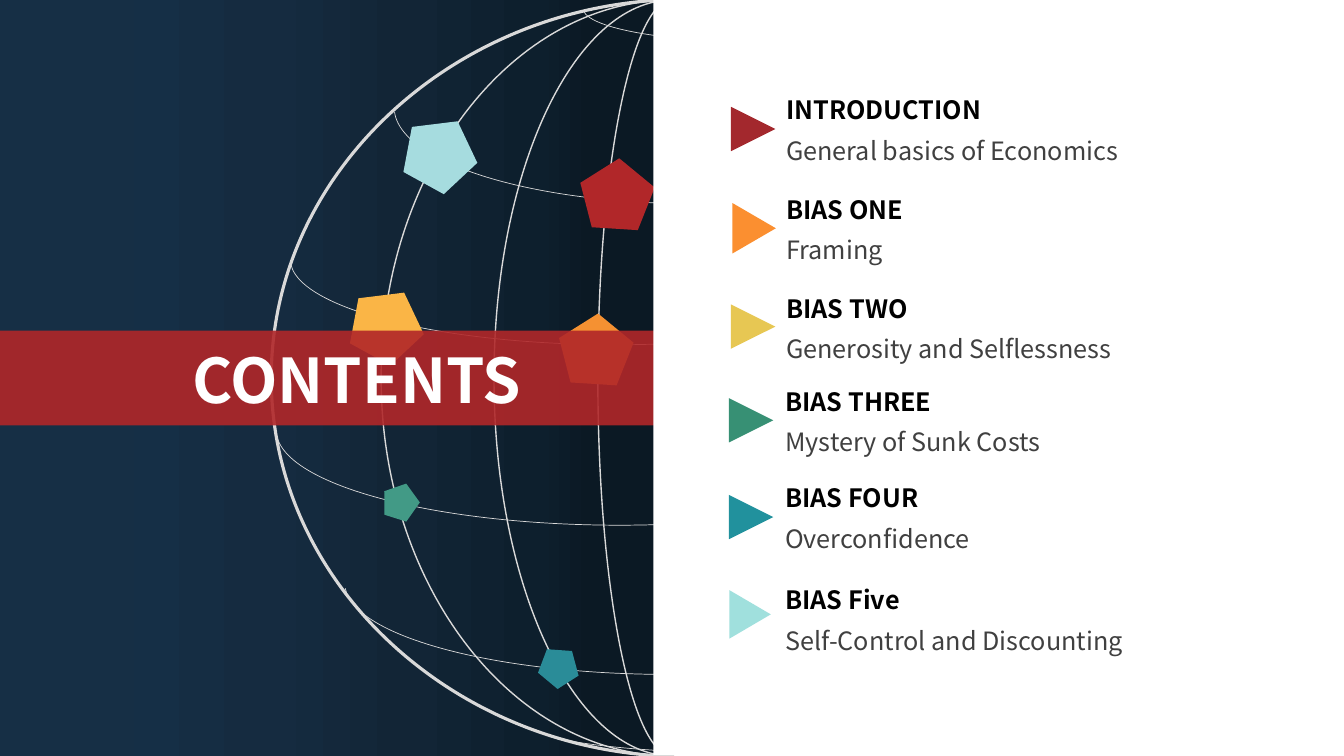
from lxml import etree
from pptx import Presentation
from pptx.dml.color import RGBColor
from pptx.enum import shapes, text
from pptx.oxml import ns
from pptx.util import Inches, Pt

FONT = "Noto Sans CJK SC"
WHITE = RGBColor(0xFF, 0xFF, 0xFF)
BLACK = RGBColor(0x00, 0x00, 0x00)
GRAY = RGBColor(0x40, 0x40, 0x40)
GRID = RGBColor(0xD9, 0xD9, 0xD9)
RED = RGBColor(0xB1, 0x27, 0x29)
CRIMSON = RGBColor(0xA3, 0x28, 0x2D)
ORANGE = RGBColor(0xF5, 0x91, 0x32)
TANGERINE = RGBColor(0xFB, 0x8F, 0x30)
AMBER = RGBColor(0xFA, 0xB5, 0x46)
YELLOW = RGBColor(0xE7, 0xC7, 0x53)
JADE = RGBColor(0x42, 0x9A, 0x86)
GREEN = RGBColor(0x37, 0x90, 0x74)
OCEAN = RGBColor(0x2A, 0x8C, 0x98)
TEAL = RGBColor(0x21, 0x91, 0x9D)
ICE = RGBColor(0xA6, 0xDC, 0xDF)
AQUA = RGBColor(0xA0, 0xE0, 0xDD)
NIGHT = [
    (0, RGBColor(0x16, 0x2F, 0x45)),
    (20, RGBColor(0x15, 0x2F, 0x46)),
    (40, RGBColor(0x15, 0x2B, 0x40)),
    (60, RGBColor(0x12, 0x25, 0x36)),
    (80, RGBColor(0x0D, 0x1F, 0x2D)),
    (88, RGBColor(0x0B, 0x19, 0x24)),
]

HEADING = {"size": Pt(18), "bold": True, "name": FONT}
DETAIL = {"size": Pt(18), "bold": False, "name": FONT}
TITLE = {"size": Pt(44), "bold": True, "name": FONT}

ROUNDNESS = 0.55
MERIDIANS = [(3.98, 0.11, 2.25), (2.89, 0, 1), (1.77, 0, 1), (0.74, 0, 1)]
PARALLELS = [
    (5.32, 6.95, 4.77, 0.53, 215.18),
    (3.42, 4.89, 6.42, 1.8, 215.51),
    (2.74, 3.33, 6.81, 1.88, 215.51),
    (2.88, 1.73, 6.47, 1.69, 215.51),
    (3.91, 0.12, 5.93, 1.9, 215.51),
    (5.78, -0.25, 3.31, 0.66, 215.51),
]
PENTAGONS = [
    (4, 1.16, 0.74, 0.7, 28.8, ICE),
    (3.47, 2.86, 0.74, 0.7, 28.8, AMBER),
    (3.79, 4.79, 0.37, 0.36, 17.5, JADE),
    (5.33, 6.41, 0.4, 0.39, 327.4, OCEAN),
    (5.75, 1.57, 0.74, 0.7, 3.6, RED),
    (5.54, 3.11, 0.74, 0.7, 3.6, ORANGE),
]
ENTRIES = [
    ("INTRODUCTION", "General basics of Economics", (7.7, 0.89), (7.25, 1.06, 0.44, 0.44), CRIMSON),
    ("BIAS ONE", "Framing", (7.7, 1.88), (7.23, 2.05, 0.5, 0.43), TANGERINE),
    ("BIAS TWO", "Generosity and Selflessness", (7.7, 2.86), (7.25, 3.02, 0.44, 0.44), YELLOW),
    ("BIAS THREE", "Mystery of Sunk Costs", (7.69, 3.78), (7.23, 3.95, 0.44, 0.44), GREEN),
    ("BIAS FOUR", "Overconfidence", (7.69, 4.74), (7.23, 4.91, 0.44, 0.44), TEAL),
    ("BIAS Five", "Self-Control and Discounting", (7.69, 5.75), (7.2, 5.89, 0.48, 0.41), AQUA),
]


def add_shape(slide, kind, box, color=None, rotation=0):
    sp = slide.shapes.add_shape(kind, *map(Inches, box))
    sp.shadow.inherit = False
    sp.line.fill.background()
    sp.rotation = rotation
    if color is not None:
        sp.fill.solid()
        sp.fill.fore_color.rgb = color
    return sp


def outline(sp, width):
    sp.shadow.inherit = False
    sp.fill.background()
    sp.line.color.rgb = GRID
    sp.line.width = Pt(width)


def write(tf, words, color, style):
    tf.word_wrap = True
    p = tf.paragraphs[0]
    r = p.add_run()
    r.text = words
    r.font.color.rgb = color
    for key, value in style.items():
        setattr(r.font, key, value)
    return p


def add_backdrop(slide, box):
    sp = add_shape(slide, shapes.MSO_SHAPE.RECTANGLE, box)
    sp.fill.gradient()
    sp.fill.gradient_angle = 0
    stops = sp._element.spPr.find(ns.qn("a:gradFill")).find(ns.qn("a:gsLst"))
    for stop in list(stops):
        stops.remove(stop)
    for position, color in NIGHT:
        stop = etree.SubElement(stops, ns.qn("a:gs"), pos=str(position * 1000))
        etree.SubElement(stop, ns.qn("a:srgbClr"), val=str(color))


def add_meridian(slide, box, shoulder, weight):
    left, top, width, height = box
    right, bottom, middle = left + width, top + height, top + height / 2
    edge = right - shoulder
    bend = edge - ROUNDNESS * (width - shoulder)
    rise = ROUNDNESS * (height / 2 - shoulder)
    curve = [
        (bend, bottom - shoulder), (left, middle + rise), (left, middle),
        (left, middle - rise), (bend, top + shoulder), (edge, top),
    ]
    corners = [(right, bottom), (edge, bottom)] if shoulder else [(right, bottom)]
    points = [(Inches(x), Inches(y)) for x, y in corners + curve]
    builder = slide.shapes.build_freeform(Inches(right), Inches(top))
    builder.add_line_segments(points, close=True)
    sp = builder.convert_to_shape()
    segments = list(sp._element.iter(ns.qn("a:lnTo")))[len(corners):len(points)]
    for first in (0, 3):
        trio = segments[first:first + 3]
        bezier = etree.Element(ns.qn("a:cubicBezTo"))
        trio[0].addprevious(bezier)
        for segment in trio:
            bezier.append(segment[0])
            segment.getparent().remove(segment)
    outline(sp, weight)


def add_globe(slide, box):
    left, top, width, height = box
    for reach, shoulder, weight in MERIDIANS:
        add_meridian(slide, (left + width - reach, top, reach, height), shoulder, weight)
    for x, y, w, h, end in PARALLELS:
        sp = add_shape(slide, shapes.MSO_SHAPE.ARC, (left + x, top + y, w, h), rotation=180)
        sp.adjustments[0], sp.adjustments[1] = 108.6, end
        outline(sp, 0.5)
    for x, y, w, h, rotation, color in PENTAGONS:
        add_shape(slide, shapes.MSO_SHAPE.REGULAR_PENTAGON, (left + x, top + y, w, h), color, rotation)


def add_banner(slide, box):
    band = add_shape(slide, shapes.MSO_SHAPE.RECTANGLE, box, RED)
    color = band._element.spPr.find(ns.qn("a:solidFill"))[0]
    etree.SubElement(color, ns.qn("a:alpha"), val="90000")


def add_title(slide, box):
    sp = slide.shapes.title
    sp.left, sp.top, sp.width, sp.height = map(Inches, box)
    slide.shapes._spTree.append(sp._element)
    tf = sp.text_frame
    tf.auto_size = text.MSO_AUTO_SIZE.NONE
    tf.vertical_anchor = text.MSO_ANCHOR.TOP
    write(tf, "CONTENTS", WHITE, TITLE).alignment = text.PP_ALIGN.CENTER


def add_entries(slide, box):
    add_shape(slide, shapes.MSO_SHAPE.RECTANGLE, box, WHITE)
    left, top = box[:2]
    for heading, detail, (x, y), (mx, my, mw, mh), color in ENTRIES:
        marker = (left + mx - 6.48, top + my + 0.01, mw, mh)
        add_shape(slide, shapes.MSO_SHAPE.ISOSCELES_TRIANGLE, marker, color, 90)
        lines = [(heading, 0.01, 3.75, BLACK, HEADING), (detail, 0.41, 5.54, GRAY, DETAIL)]
        for words, drop, width, ink, style in lines:
            frame = (left + x - 6.48, top + y + drop, width, 0.4)
            sp = slide.shapes.add_textbox(*map(Inches, frame))
            write(sp.text_frame, words, ink, style)


def main():
    prs = Presentation()
    prs.slide_width, prs.slide_height = Inches(13.33), Inches(7.5)
    slide = prs.slides.add_slide(prs.slide_layouts[5])
    add_backdrop(slide, (0, 0, 6.67, 7.5))
    add_globe(slide, (0, 0, 6.67, 7.5))
    add_banner(slide, (0, 3.28, 6.66, 0.94))
    add_entries(slide, (6.48, -0.01, 6.67, 7.5))
    add_title(slide, (1.56, 3.34, 3.96, 0.84))
    prs.save("out.pptx")


if __name__ == "__main__":
    main()
